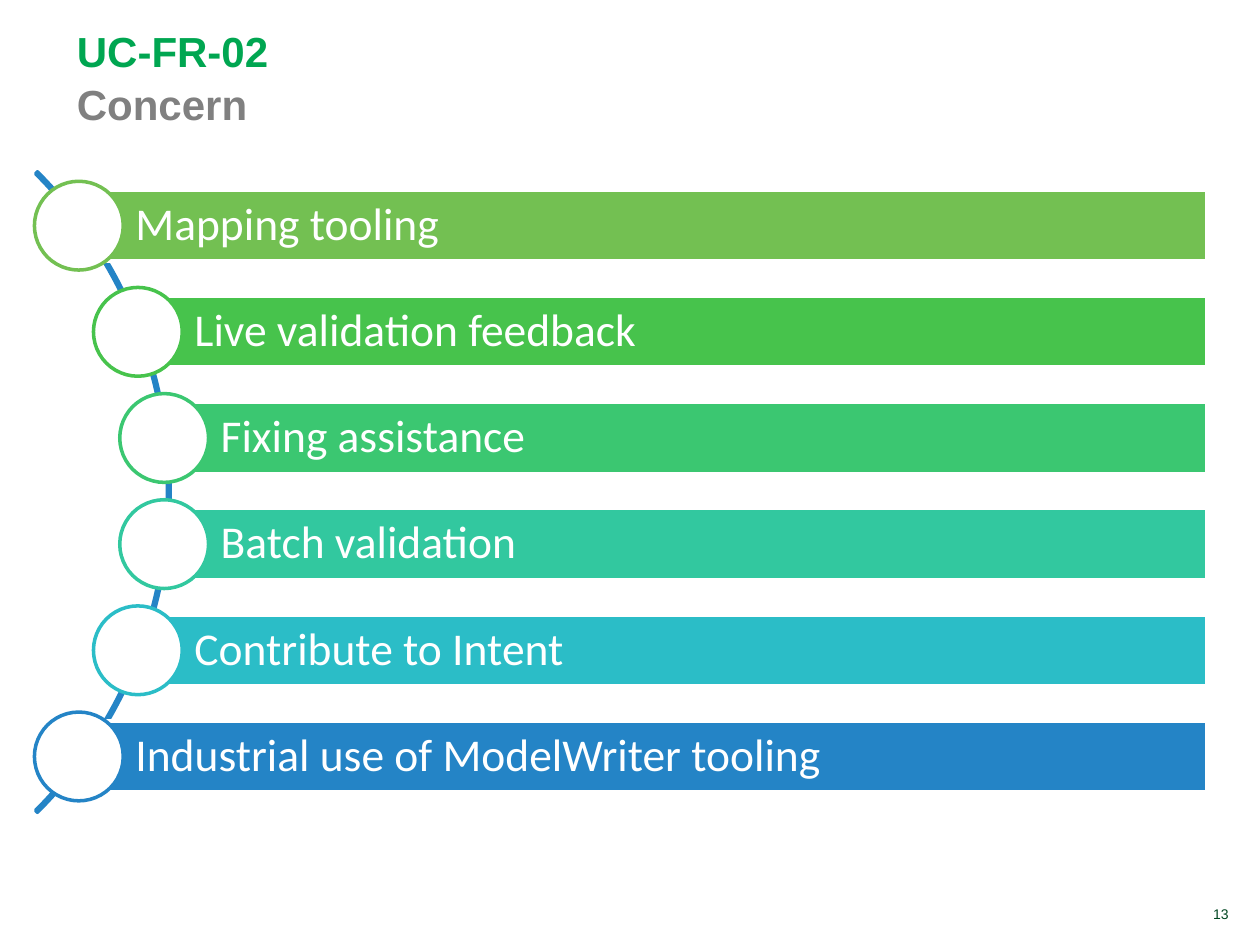
from pptx import Presentation
from pptx.dml.color import RGBColor
from pptx.enum.shapes import MSO_SHAPE
from pptx.enum.text import MSO_ANCHOR, PP_ALIGN
from pptx.util import Cm, Pt

ARC, BAR, CIRCLE = MSO_SHAPE.BLOCK_ARC, MSO_SHAPE.RECTANGLE, MSO_SHAPE.OVAL
MIDDLE, BOTTOM = MSO_ANCHOR.MIDDLE, MSO_ANCHOR.BOTTOM
LEFT, RIGHT = PP_ALIGN.LEFT, PP_ALIGN.RIGHT

COLORS = {
    "white": "FFFFFF",
    "title": "00A651",
    "subtitle": "808080",
    "number": "004621",
    "lime": "73C052",
    "green": "47C34C",
    "emerald": "3BC771",
    "jade": "32C89F",
    "turquoise": "2BBDC7",
    "blue": "2484C6",
}

CONCERNS = [
    ("Mapping tooling", "lime", 1.59),
    ("Live validation feedback", "green", 2.78),
    ("Fixing assistance", "emerald", 3.31),
    ("Batch validation", "jade", 3.31),
    ("Contribute to Intent", "turquoise", 2.78),
    ("Industrial use of ModelWriter tooling", "blue", 1.59),
]
FIRST_CENTER, PITCH = 4.55, 2.14
BAR_RIGHT, BAR_HEIGHT, DIAMETER = 24.32, 1.43, 1.79


def add_outlined(kind, left, top, width, height, fill, line):
    shape = slide.shapes.add_shape(kind, Cm(left), Cm(top), Cm(width), Cm(height))
    shape.shadow.inherit = False
    if fill:
        shape.fill.solid()
        shape.fill.fore_color.rgb = RGBColor.from_string(COLORS[fill])
    else:
        shape.fill.background()
    shape.line.color.rgb = RGBColor.from_string(COLORS[line])
    shape.line.width = Pt(2)
    return shape


def style_run(run, font_name, size, color, bold=False):
    run.font.name = font_name
    run.font.size = Pt(size)
    run.font.bold = bold
    run.font.color.rgb = RGBColor.from_string(COLORS[color])


prs = Presentation()
prs.slide_width, prs.slide_height = Cm(25.4), Cm(19.05)
slide = prs.slides.add_slide(prs.slide_layouts[6])

page_number = slide.shapes.add_textbox(Cm(21.69), Cm(18.14), Cm(3.33), Cm(0.58)).text_frame
page_number.word_wrap = True
page_number.vertical_anchor = BOTTOM
page_number.text = "13"
page_number.paragraphs[0].alignment = RIGHT
style_run(page_number.paragraphs[0].runs[0], "Arial", 8, "number")

heading = slide.shapes.add_textbox(Cm(1.3), Cm(0.41), Cm(17.3), Cm(2.31)).text_frame
heading.word_wrap = True
heading.vertical_anchor = BOTTOM
heading_line = heading.paragraphs[0]
heading_line.text = "UC-FR-02\vConcern"
heading_line.line_spacing = 1.05
for run, color in zip(heading_line.runs, ("title", "subtitle")):
    style_run(run, "Arial", 24, color, bold=True)

spine = add_outlined(ARC, -14.83, 0.79, 18.26, 18.26, None, "blue")
for index, value in enumerate((189, 27, 0.003)):
    spine.adjustments[index] = value

for row, (concern, color, center_x) in enumerate(CONCERNS):
    center_y = FIRST_CENTER + row * PITCH
    bar = add_outlined(BAR, center_x, center_y - BAR_HEIGHT / 2,
                       BAR_RIGHT - center_x, BAR_HEIGHT, color, "white")
    label = bar.text_frame
    label.word_wrap = True
    label.vertical_anchor = MIDDLE
    label.margin_left = Cm(1.14)
    label.margin_top = label.margin_right = label.margin_bottom = Cm(0.17)
    label.text = concern
    label.paragraphs[0].alignment = LEFT
    label.paragraphs[0].line_spacing = 0.9
    style_run(label.paragraphs[0].runs[0], "Calibri", 26, "white")
    add_outlined(CIRCLE, center_x - DIAMETER / 2, center_y - DIAMETER / 2,
                 DIAMETER, DIAMETER, "white", color)

prs.save("out.pptx")
